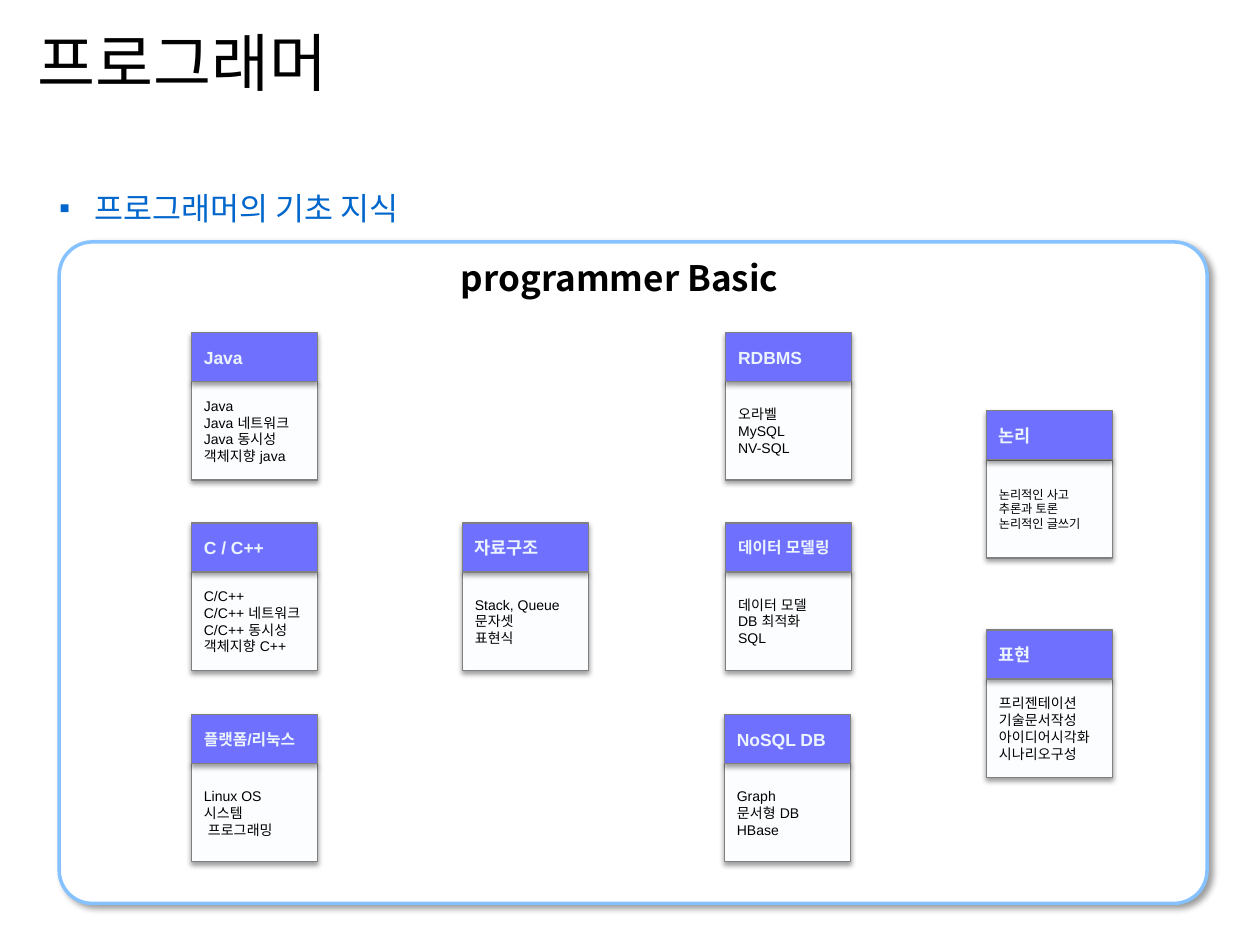
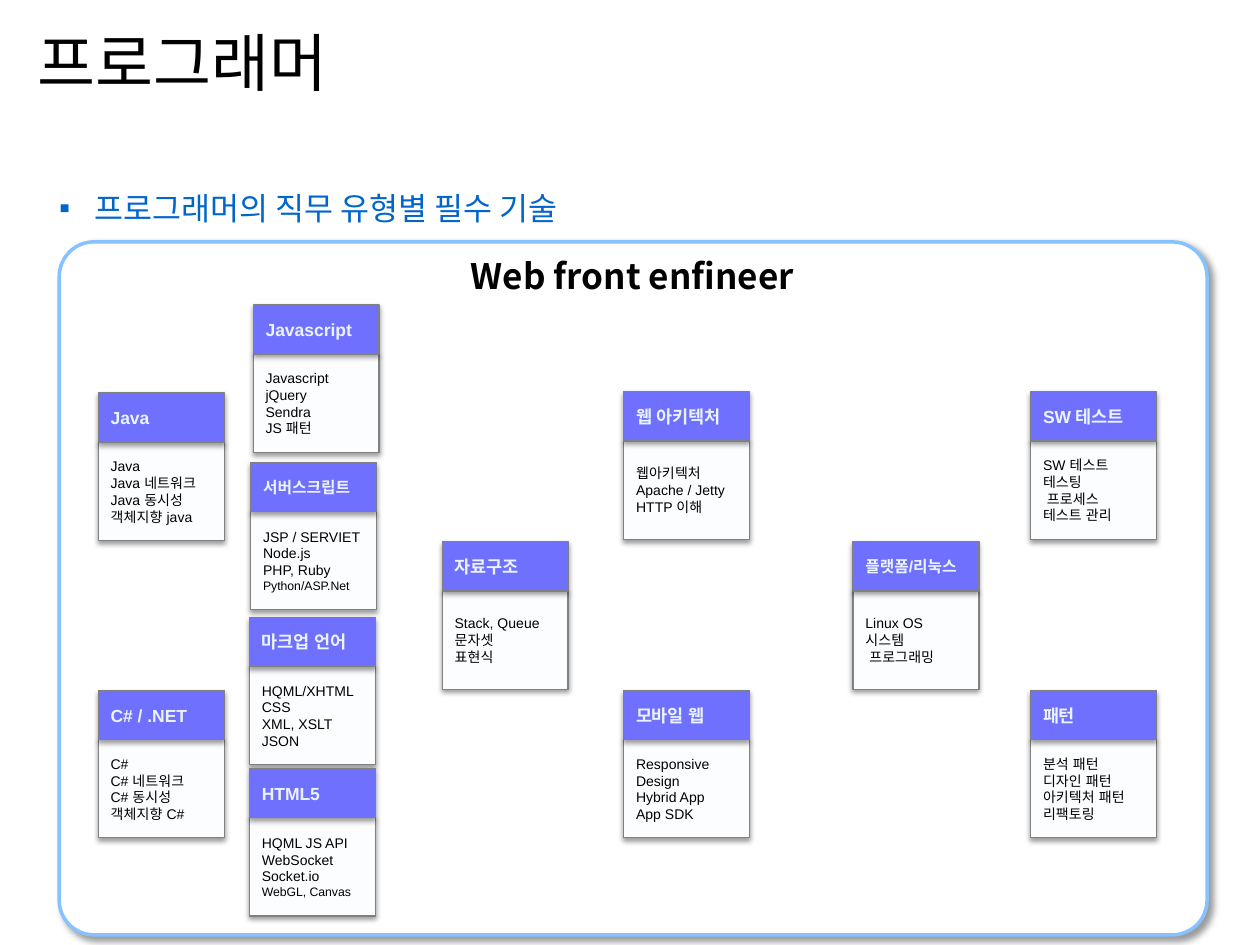
"""Builds two slides of skill cards for programmers."""
from copy import deepcopy

from lxml import etree
from pptx import Presentation
from pptx.dml.color import RGBColor
from pptx.enum import shapes, text
from pptx.oxml import ns
from pptx.util import Inches, Pt

COLORS = {"ink": "000000", "topic": "0066CC", "panel": "FFFFFF", "panel line": "85C2FF",
          "head": "7070FF", "head text": "EBF4FD", "card line": "808080", "shadow": "000000"}
CARD_STOPS = [(0, "FBFDFE"), (0.35, "FCFDFE"), (1, "FEFEFF")]
PANEL_SHADOW = {"alpha": 40, "blur": 4, "distance": 3, "angle": 45}
CARD_SHADOW = {"alpha": 38, "blur": 3.1, "distance": 1.6, "angle": 90}
LATIN, KOREAN = "Arial", "Noto Sans CJK KR"
CARD_WIDTH, HEAD_HEIGHT, BODY_HEIGHT = 1, 0.39, 0.78
TITLE = "프로그래머"

NINE_POINT_HEADS = {"플랫폼/리눅스", "데이터 모델링", "서버스크립트"}
SEVEN_POINT_LINES = {"논리적인 사고", "추론과 토론", "논리적인 글쓰기",
                     "Python/ASP.Net", "WebGL, Canvas"}

JAVA = ("Java", ["Java", "Java 네트워크", "Java 동시성", "객체지향 java"])
STRUCTURES = ("자료구조", ["Stack, Queue", "문자셋", "표현식"])
PLATFORM = ("플랫폼/리눅스", ["Linux OS", "시스템", " 프로그래밍"])

SLIDES = [
    {"topic": "프로그래머의 기초 지식", "topic width": 2.89, "panel height": 5.25,
     "heading": "programmer Basic", "heading at": (3.56, 1.99), "align": text.PP_ALIGN.LEFT,
     "cards": [
         (1.52, 2.64, *JAVA),
         (1.52, 4.15, "C / C++", ["C/C++", "C/C++ 네트워크", "C/C++ 동시성", "객체지향 C++"]),
         (3.67, 4.15, *STRUCTURES),
         (1.52, 5.67, *PLATFORM),
         (5.76, 4.15, "데이터 모델링", ["데이터 모델", "DB 최적화", "SQL"]),
         (5.76, 2.64, "RDBMS", ["오라벨", "MySQL", "NV-SQL"]),
         (5.75, 5.67, "NoSQL DB", ["Graph", "문서형 DB", "HBase"]),
         (7.83, 3.26, "논리", ["논리적인 사고", "추론과 토론", "논리적인 글쓰기"]),
         (7.83, 5, "표현", ["프리젠테이션", "기술문서작성", "아이디어시각화", "시나리오구성"]),
     ]},
    {"topic": "프로그래머의 직무 유형별 필수 기술", "topic width": 4.32, "panel height": 5.5,
     "heading": "Web front enfineer", "heading at": (3.55, 1.97), "align": text.PP_ALIGN.CENTER,
     "cards": [
         (0.78, 3.12, *JAVA),
         (0.78, 5.48, "C# / .NET", ["C#", "C# 네트워크", "C# 동시성", "객체지향 C#"]),
         (2.01, 2.42, "Javascript", ["Javascript", "jQuery", "Sendra", "JS 패턴"]),
         (1.99, 3.67, "서버스크립트",
          ["JSP / SERVIET", "Node.js", "PHP, Ruby", "Python/ASP.Net"]),
         (3.51, 4.3, *STRUCTURES),
         (6.77, 4.3, *PLATFORM),
         (1.98, 4.9, "마크업 언어", ["HQML/XHTML", "CSS", "XML, XSLT", "JSON"]),
         (1.98, 6.1, "HTML5", ["HQML JS API", "WebSocket", "Socket.io", "WebGL, Canvas"]),
         (4.95, 3.11, "웹 아키텍처", ["웹아키텍처", "Apache / Jetty", "HTTP 이해"]),
         (4.95, 5.48, "모바일 웹", ["Responsive", "Design", "Hybrid App", "App SDK"]),
         (8.18, 5.48, "패턴", ["분석 패턴", "디자인 패턴", "아키텍처 패턴", "리팩토링"]),
         (8.18, 3.11, "SW 테스트", ["SW 테스트", "테스팅", " 프로세스", "테스트 관리"]),
     ]},
]


def rgb(name):
    return RGBColor.from_string(COLORS[name])


def add_element(parent, tag, **values):
    element = etree.SubElement(parent, ns.qn(tag))
    for key, value in values.items():
        element.set(key, str(value))
    return element


def place(shape, left, top, width, height):
    for key, value in zip(("left", "top", "width", "height"), (left, top, width, height)):
        setattr(shape, key, Inches(value))


def write(shape, lines, color, name=LATIN, bold=False,
          align=text.PP_ALIGN.LEFT, anchor=text.MSO_ANCHOR.MIDDLE):
    frame = shape.text_frame
    for key, value in {"word_wrap": True, "vertical_anchor": anchor,
                       "auto_size": text.MSO_AUTO_SIZE.NONE}.items():
        setattr(frame, key, value)
    for index, (words, size) in enumerate(lines):
        para = frame.add_paragraph() if index else frame.paragraphs[0]
        para.alignment = align
        para.space_before = Pt(0)
        span = para.add_run()
        span.text = words
        for key, value in {"name": name, "size": Pt(size), "bold": bold}.items():
            setattr(span.font, key, value)
        span.font.color.rgb = rgb(color)
        add_element(span.font._element, "a:ea", typeface=name)


def add_block(parent, kind, at, fill, line, weight, shadow):
    block = parent.add_shape(kind, *map(Inches, at))
    block.line.color.rgb = rgb(line)
    block.line.width = Pt(weight)
    if fill:
        block.fill.solid()
        block.fill.fore_color.rgb = rgb(fill)
    else:
        block.fill.gradient()
        block.fill.gradient_angle = 90
        stops = block._element.spPr.find(".//" + ns.qn("a:gsLst"))
        stops.append(deepcopy(stops[0]))
        for stop, (position, color) in zip(block.fill.gradient_stops, CARD_STOPS):
            stop.position = position
            stop.color.rgb = RGBColor.from_string(color)
    block.shadow.inherit = False
    effects = block._element.spPr.find(ns.qn("a:effectLst"))
    outer = add_element(effects, "a:outerShdw", blurRad=Pt(shadow["blur"]),
                        dist=Pt(shadow["distance"]), dir=shadow["angle"] * 60000,
                        algn="tl", rotWithShape=0)
    tint = add_element(outer, "a:srgbClr", val=COLORS["shadow"])
    add_element(tint, "a:alpha", val=shadow["alpha"] * 1000)
    return block


def add_card(page, left, top, head_text, lines):
    group = page.shapes.add_group_shape().shapes
    rectangle = shapes.MSO_SHAPE.RECTANGLE
    body = add_block(group, rectangle, (left, top + HEAD_HEIGHT, CARD_WIDTH, BODY_HEIGHT),
                     None, "card line", 0.75, CARD_SHADOW)
    write(body, [(line, 7 if line in SEVEN_POINT_LINES else 8) for line in lines], "ink")
    head = add_block(group, rectangle, (left, top, CARD_WIDTH, HEAD_HEIGHT),
                     "head", "card line", 0.75, CARD_SHADOW)
    write(head, [(head_text, 9 if head_text in NINE_POINT_HEADS else 10)],
          "head text", bold=True)


def add_topic(page, words, width):
    topic = page.placeholders[1]
    place(topic, 0.47, 1.5, width, 0.3)
    for side in ("left", "top", "right", "bottom"):
        setattr(topic.text_frame, "margin_" + side, 0)
    write(topic, [(words, 18)], "topic", KOREAN)
    properties = topic.text_frame.paragraphs[0]._p.get_or_add_pPr()
    properties.set("marL", str(Inches(0.28)))
    properties.set("indent", str(-Inches(0.28)))
    bullet_color = add_element(properties, "a:buClr")
    add_element(bullet_color, "a:srgbClr", val=COLORS["topic"])
    add_element(properties, "a:buFont", typeface=LATIN)
    add_element(properties, "a:buChar", char="▪")


def add_page(deck, content):
    page = deck.slides.add_slide(deck.slide_layouts[1])
    place(page.shapes.title, 0.2, 0.1, 9, 0.78)
    write(page.shapes.title, [(TITLE, 36)], "ink")
    add_topic(page, content["topic"], content["topic width"])
    panel = add_block(page.shapes, shapes.MSO_SHAPE.ROUNDED_RECTANGLE,
                      (0.47, 1.92, 9.11, content["panel height"]),
                      "panel", "panel line", 2, PANEL_SHADOW)
    panel.adjustments[0] = 0.05
    heading = page.shapes.add_textbox(*map(Inches, (*content["heading at"], 2.94, 0.44)))
    write(heading, [(content["heading"], 20)], "ink", KOREAN, True,
          content["align"], text.MSO_ANCHOR.TOP)
    for card in content["cards"]:
        add_card(page, *card)


def main():
    deck = Presentation()
    deck.slide_width, deck.slide_height = Inches(10), Inches(7.5)
    for content in SLIDES:
        add_page(deck, content)
    deck.save("out.pptx")


if __name__ == "__main__":
    main()
